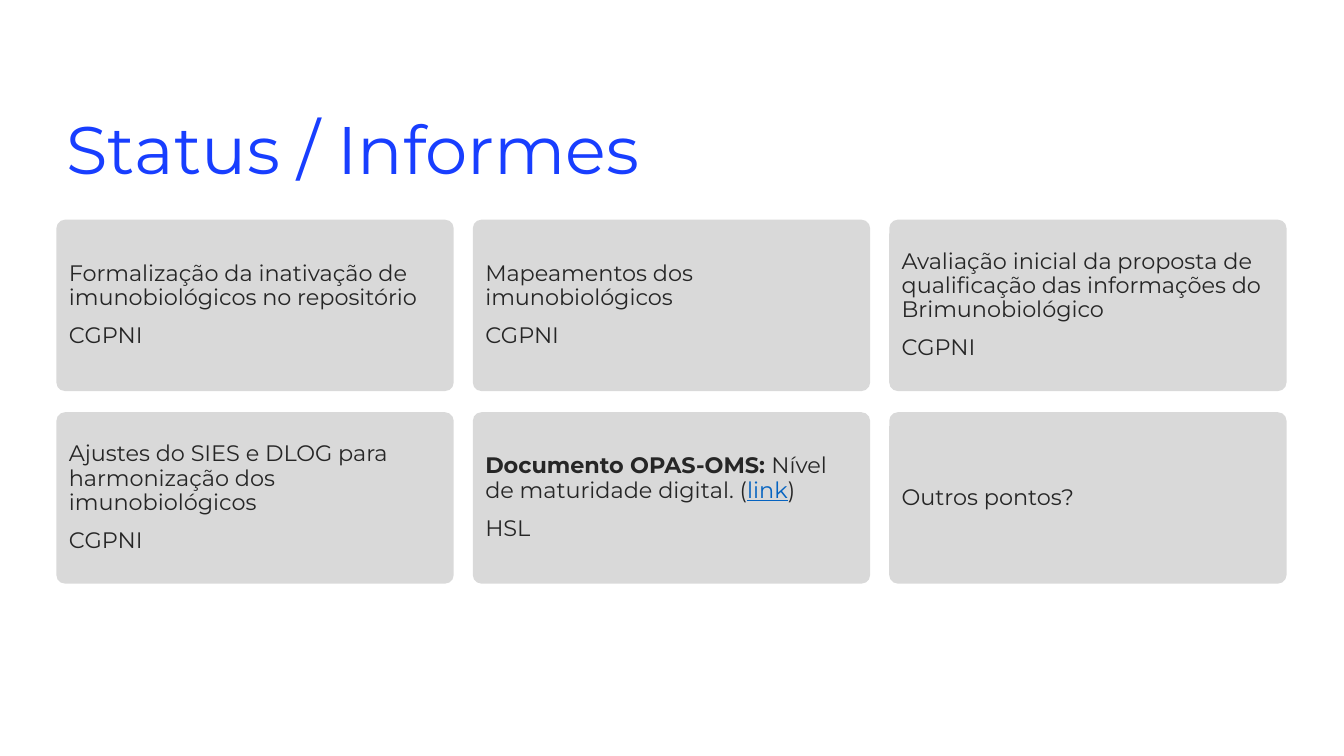
from dataclasses import dataclass

from pptx import Presentation
from pptx.dml.color import RGBColor
from pptx.enum.shapes import MSO_SHAPE
from pptx.enum.text import MSO_ANCHOR, PP_ALIGN
from pptx.shapes.autoshape import Shape
from pptx.slide import Slide
from pptx.util import Inches, Pt

BLUE = RGBColor(0x18, 0x3E, 0xFF)
GREY = RGBColor(0xD9, 0xD9, 0xD9)
INK = RGBColor(0x26, 0x26, 0x26)
LINK_BLUE = RGBColor(0x05, 0x63, 0xC1)

FONT = "Montserrat"
COLUMNS = 3
GRID_LEFT, GRID_TOP = 0.56, 2.18
CARD_WIDTH, CARD_HEIGHT = 3.94, 1.7
COLUMN_STEP, ROW_STEP = 4.13, 1.91
CORNER = 0.05


@dataclass(frozen=True)
class Span:
    text: str
    bold: bool = False
    underline: bool = False
    color: RGBColor = INK


@dataclass(frozen=True)
class Topic:
    subject: tuple[Span, ...]
    owner: str = ""


TOPICS = (
    Topic((Span("Formalização da inativação de imunobiológicos no repositório"),), "CGPNI"),
    Topic((Span("Mapeamentos dos imunobiológicos"),), "CGPNI"),
    Topic((Span("Avaliação inicial da proposta de qualificação das informações do "
                "Brimunobiológico"),), "CGPNI"),
    Topic((Span("Ajustes do SIES e DLOG para harmonização dos imunobiológicos"),), "CGPNI"),
    Topic((Span("Documento OPAS-OMS: ", bold=True),
           Span("Nível de maturidade digital. ("),
           Span("link", underline=True, color=LINK_BLUE),
           Span(")")), "HSL"),
    Topic((Span("Outros pontos?"),)),
)


def write(shape: Shape, paragraphs: list[tuple[Span, ...]], *, size: float,
          anchor: MSO_ANCHOR) -> None:
    frame = shape.text_frame
    frame.word_wrap = True
    frame.vertical_anchor = anchor
    for index, spans in enumerate(paragraphs):
        paragraph = frame.add_paragraph() if index else frame.paragraphs[0]
        paragraph.alignment = PP_ALIGN.LEFT
        paragraph.line_spacing = 0.9
        paragraph.space_before = Pt(10 if index else 0)
        for span in spans:
            run = paragraph.add_run()
            run.text = span.text
            run.font.name = FONT
            run.font.size = Pt(size)
            run.font.bold = span.bold
            run.font.underline = span.underline
            run.font.color.rgb = span.color


def draw_heading(slide: Slide) -> None:
    heading = slide.shapes.add_textbox(
        Inches(GRID_LEFT), Inches(1.11), Inches(8.73), Inches(0.65))
    write(heading, [(Span("Status / Informes", color=BLUE),)],
          size=48, anchor=MSO_ANCHOR.TOP)


def draw_topic(slide: Slide, topic: Topic, column: int, row: int) -> None:
    card = slide.shapes.add_shape(
        MSO_SHAPE.ROUNDED_RECTANGLE,
        Inches(GRID_LEFT + column * COLUMN_STEP), Inches(GRID_TOP + row * ROW_STEP),
        Inches(CARD_WIDTH), Inches(CARD_HEIGHT))
    card.adjustments[0] = CORNER
    card.shadow.inherit = False
    card.fill.solid()
    card.fill.fore_color.rgb = GREY
    card.line.fill.background()
    paragraphs = [topic.subject]
    if topic.owner:
        paragraphs.append((Span(topic.owner),))
    write(card, paragraphs, size=16, anchor=MSO_ANCHOR.MIDDLE)


def main() -> None:
    presentation = Presentation()
    presentation.slide_width = Inches(13.33)
    presentation.slide_height = Inches(7.5)
    slide = presentation.slides.add_slide(presentation.slide_layouts[6])
    draw_heading(slide)
    for index, topic in enumerate(TOPICS):
        row, column = divmod(index, COLUMNS)
        draw_topic(slide, topic, column, row)
    presentation.save("out.pptx")


if __name__ == "__main__":
    main()
